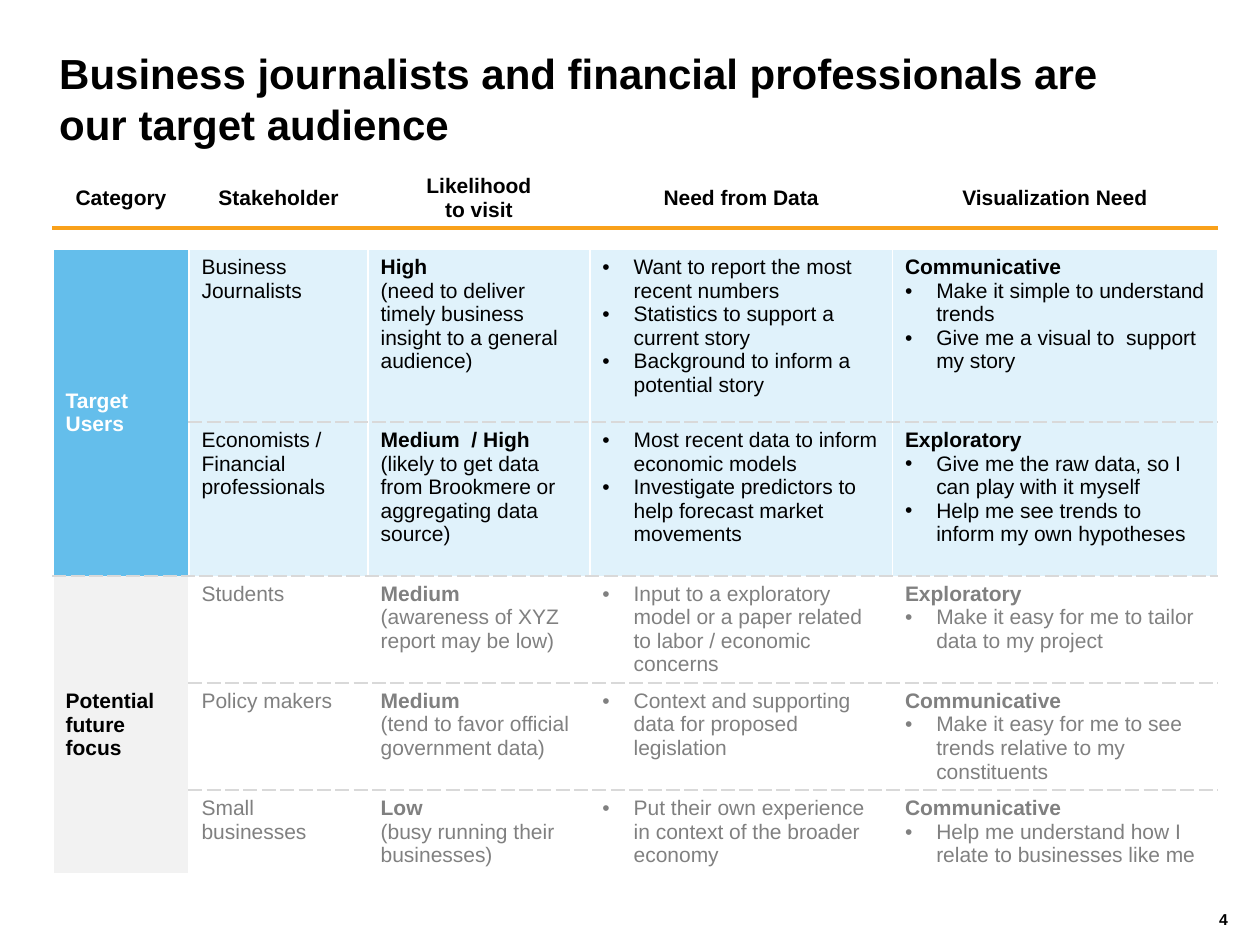
"""Build a slide with a table of target audiences and their data needs."""
import lxml.etree
import pptx
import pptx.dml.color
import pptx.enum.text
import pptx.oxml.ns
import pptx.util

Cm = pptx.util.Cm
rgb = pptx.dml.color.RGBColor.from_string
qn = pptx.oxml.ns.qn
Align = pptx.enum.text.PP_ALIGN
Anchor = pptx.enum.text.MSO_ANCHOR


def write_text(frame, text, size=12, color="000000", bold=False, bold_first=False,
               align=Align.LEFT, anchor=Anchor.TOP):
    frame.word_wrap = True
    frame.vertical_anchor = anchor
    for index, line in enumerate(text.split("\n")):
        paragraph = frame.paragraphs[0] if index == 0 else frame.add_paragraph()
        paragraph.alignment = align
        if line.startswith("• "):
            line = line[2:]
            properties = paragraph._p.get_or_add_pPr()
            properties.set("marL", str(Cm(0.63)))
            properties.set("indent", str(-Cm(0.63)))
            bullet_font = lxml.etree.SubElement(properties, qn("a:buFont"))
            bullet_font.set("typeface", "Arial")
            lxml.etree.SubElement(properties, qn("a:buChar")).set("char", "•")
        run = paragraph.add_run()
        run.text = line
        run.font.name = "Arial"
        run.font.size = pptx.util.Pt(size)
        run.font.bold = bold or (bold_first and index == 0)
        run.font.color.rgb = rgb(color)


def draw_borders(cell, top, bottom):
    properties = cell._tc.get_or_add_tcPr()
    sides = {"L": WHITE_LINE, "R": WHITE_LINE, "T": top, "B": bottom}
    for position, (side, (color, width, dash)) in enumerate(sides.items()):
        line = lxml.etree.Element(qn(f"a:ln{side}"), w=str(pptx.util.Pt(width)))
        fill = lxml.etree.SubElement(line, qn("a:solidFill"))
        lxml.etree.SubElement(fill, qn("a:srgbClr")).set("val", color)
        lxml.etree.SubElement(line, qn("a:prstDash")).set("val", dash)
        properties.insert(position, line)


WHITE_LINE = ("FFFFFF", 1, "solid")
ORANGE_LINE = ("F9A11A", 2.25, "solid")
DASHED_LINE = ("D9D9D9", 1, "dash")
DIVIDERS = [WHITE_LINE, ORANGE_LINE, WHITE_LINE] + [DASHED_LINE] * 4 + [WHITE_LINE]
COLUMN_WIDTHS = [2.74, 3.61, 4.47, 6.1, 6.55]
ROW_HEIGHTS = [1.22, 0.43, 3.48, 3.1, 2.16, 2.16, 1.65]
ROWS = [
    ["Category", "Stakeholder", "Likelihood\nto visit", "Need from Data", "Visualization Need"],
    [""] * 5,
    ["Target Users", "Business Journalists",
     "High\n(need to deliver timely business insight to a general audience)",
     "• Want to report the most recent numbers\n• Statistics to support a current story\n"
     "• Background to inform a potential story",
     "Communicative\n• Make it simple to understand trends\n"
     "• Give me a visual to  support my story"],
    ["", "Economists / Financial professionals",
     "Medium  / High\n(likely to get data from Brookmere or aggregating data source)",
     "• Most recent data to inform economic models\n"
     "• Investigate predictors to help forecast market movements",
     "Exploratory\n• Give me the raw data, so I can play with it myself\n"
     "• Help me see trends to inform my own hypotheses"],
    ["Potential future focus", "Students", "Medium\n(awareness of XYZ report may be low)",
     "• Input to a exploratory model or a paper related to labor / economic concerns",
     "Exploratory\n• Make it easy for me to tailor data to my project"],
    ["", "Policy makers", "Medium\n(tend to favor official government data)",
     "• Context and supporting data for proposed legislation",
     "Communicative\n• Make it easy for me to see trends relative to my constituents"],
    ["", "Small businesses", "Low\n(busy running their businesses)",
     "• Put their own experience in context of the broader economy",
     "Communicative\n• Help me understand how I relate to businesses like me"],
]

presentation = pptx.Presentation()
presentation.slide_width = Cm(25.4)
presentation.slide_height = Cm(19.05)
slide = presentation.slides.add_slide(presentation.slide_layouts[5])

title = slide.shapes.title
title.left, title.top, title.width, title.height = Cm(0.94), Cm(0.76), Cm(22.86), Cm(2.11)
title.text_frame.auto_size = pptx.enum.text.MSO_AUTO_SIZE.NONE
title.text_frame.margin_top = Cm(0.2)
write_text(title.text_frame,
           "Business journalists and financial professionals are our target audience",
           size=24, bold=True)

table = slide.shapes.add_table(len(ROWS), len(COLUMN_WIDTHS), Cm(1.07), Cm(3.38),
                               Cm(sum(COLUMN_WIDTHS)), Cm(sum(ROW_HEIGHTS))).table
table.first_row = False
table.horz_banding = False
for column, width in zip(table.columns, COLUMN_WIDTHS):
    column.width = Cm(width)
for row, height in zip(table.rows, ROW_HEIGHTS):
    row.height = Cm(height)
table.cell(2, 0).merge(table.cell(3, 0))
table.cell(4, 0).merge(table.cell(6, 0))

for row_index, texts in enumerate(ROWS):
    is_header = row_index == 0
    is_target = row_index in (2, 3)
    is_future = row_index >= 4
    for column_index, text in enumerate(texts):
        cell = table.cell(row_index, column_index)
        if cell.is_spanned:
            continue
        is_category = column_index == 0
        if is_target or (is_future and is_category):
            cell.fill.solid()
            target_fill = "64BEEB" if is_category else "E0F2FB"
            cell.fill.fore_color.rgb = rgb(target_fill if is_target else "F2F2F2")
        else:
            cell.fill.background()
        span = cell.span_height if cell.is_merge_origin else 1
        draw_borders(cell, DIVIDERS[row_index], DIVIDERS[row_index + span])
        if not text:
            cell.margin_top = cell.margin_bottom = 0
            lxml.etree.SubElement(cell.text_frame.paragraphs[0]._p, qn("a:endParaRPr")).set("sz", "400")
            continue
        color = "000000"
        if is_target and is_category:
            color = "FFFFFF"
        elif is_future and not is_category:
            color = "808080"
        write_text(cell.text_frame, text, color=color, bold=is_header or is_category,
                   bold_first=column_index in (2, 4),
                   align=Align.CENTER if is_header else Align.LEFT)
        cell.vertical_anchor = Anchor.MIDDLE if is_header or is_category else Anchor.TOP

page_number = slide.shapes.add_textbox(Cm(23.93), Cm(18.21), Cm(1.47), Cm(0.64))
write_text(page_number.text_frame, "4", size=9, bold=True, align=Align.CENTER)

presentation.save("out.pptx")
